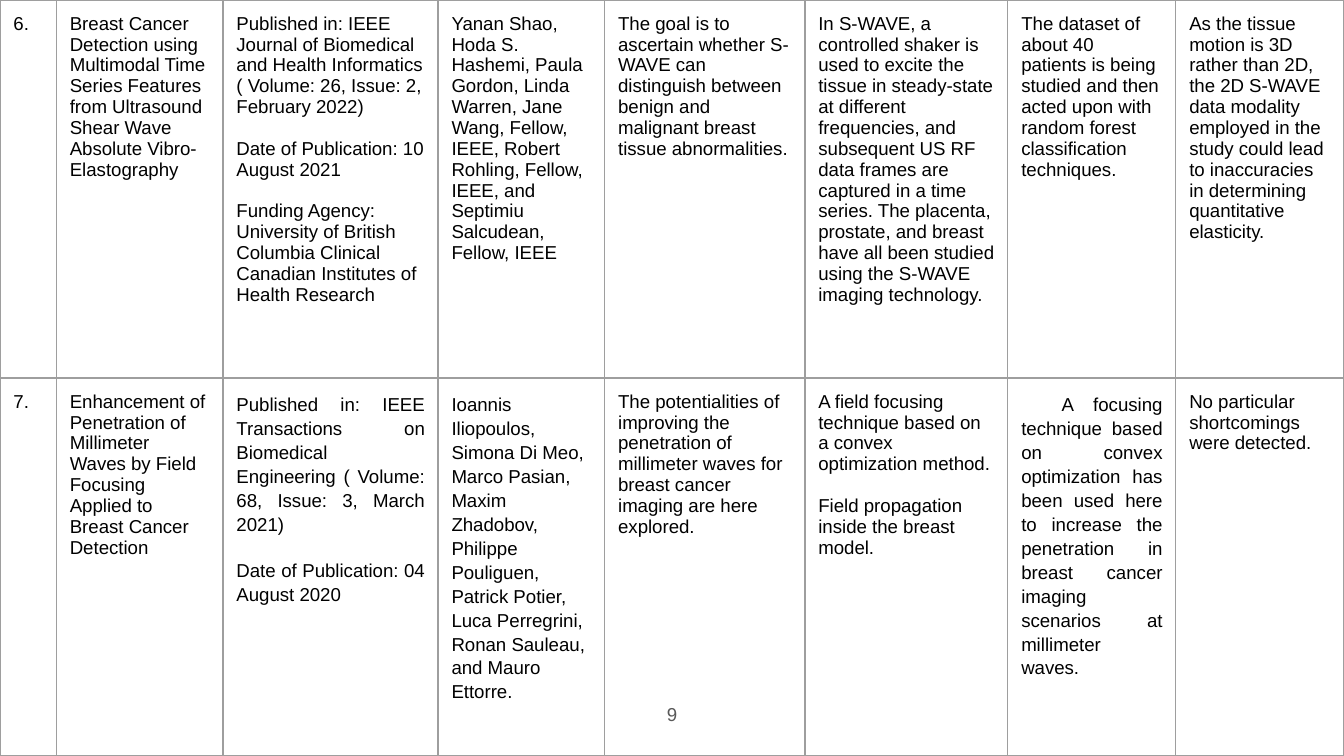
from lxml import etree
from pptx import Presentation
from pptx.dml.color import RGBColor
from pptx.enum.text import MSO_ANCHOR, PP_ALIGN
from pptx.oxml.ns import qn
from pptx.util import Inches, Pt

COLORS = {"text": "000000", "border": "9E9E9E", "page": "595959"}
COLUMN_WIDTHS = [0.42, 1.24, 1.6, 1.24, 1.49, 1.51, 1.25, 1.25]
SLIDE_WIDTH = Inches(10)
SLIDE_HEIGHT = SLIDE_WIDTH * 9 // 16
MARGINS = ["margin_left", "margin_top", "margin_right", "margin_bottom"]

SECTION = {"space_before": Pt(11.2)}
LOOSE = {"line_spacing": 1.15}
JUSTIFIED = {**LOOSE, "alignment": PP_ALIGN.JUSTIFY}

# Each cell is a list of (text, paragraph format) pairs.
papers = [
    [
        [("6.", {})],
        [("Breast Cancer Detection using Multimodal Time Series Features from "
          "Ultrasound Shear Wave Absolute Vibro-Elastography", {})],
        [("Published in: IEEE Journal of Biomedical and Health Informatics "
          "( Volume: 26, Issue: 2, February 2022)", {}),
         ("Date of Publication: 10 August 2021", SECTION),
         ("Funding Agency: University of British Columbia Clinical", SECTION),
         ("Canadian Institutes of Health Research", {})],
        [("Yanan Shao, Hoda S. Hashemi, Paula Gordon, Linda Warren, Jane Wang, "
          "Fellow, IEEE, Robert Rohling, Fellow, IEEE, and Septimiu Salcudean, "
          "Fellow, IEEE", {})],
        [("The goal is to ascertain whether S-WAVE can distinguish between "
          "benign and malignant breast tissue abnormalities.", {})],
        [("In S-WAVE, a controlled shaker is used to excite the tissue in "
          "steady-state at different frequencies, and subsequent US RF data "
          "frames are captured in a time series. The placenta, prostate, and "
          "breast have all been studied using the S-WAVE imaging technology.", {})],
        [("The dataset of about 40 patients is being studied and then acted "
          "upon with random forest classification techniques.", {})],
        [("As the tissue motion is 3D rather than 2D, the 2D S-WAVE data "
          "modality employed in the study could lead to inaccuracies in "
          "determining quantitative elasticity.", {})],
    ],
    [
        [("7.", {})],
        [("Enhancement of Penetration of Millimeter Waves by Field Focusing "
          "Applied to Breast Cancer Detection", {})],
        [("Published in: IEEE Transactions on Biomedical Engineering "
          "( Volume: 68, Issue: 3, March 2021)", JUSTIFIED),
         ("Date of Publication: 04 August 2020",
          {**JUSTIFIED, "space_before": Pt(12)})],
        [("Ioannis Iliopoulos, Simona Di Meo, Marco Pasian, Maxim Zhadobov, "
          "Philippe Pouliguen, Patrick Potier, Luca Perregrini, Ronan Sauleau, "
          "and Mauro Ettorre.", LOOSE)],
        [("The potentialities of improving the penetration of millimeter waves "
          "for breast cancer imaging are here explored.", {})],
        [("A field focusing technique based on a convex optimization method.", {}),
         ("Field propagation inside the breast model.", SECTION)],
        [("A focusing technique based on convex optimization has been used here "
          "to increase the penetration in breast cancer imaging scenarios at "
          "millimeter waves.", {**JUSTIFIED, "first_line": Inches(0.3)})],
        [("No particular shortcomings were detected.", {})],
    ],
]


def write_paragraphs(frame, paragraphs, color):
    for index, (text, layout) in enumerate(paragraphs):
        paragraph = frame.paragraphs[0] if index == 0 else frame.add_paragraph()
        for attribute, value in layout.items():
            if attribute == "first_line":
                paragraph._p.get_or_add_pPr().set("indent", str(value))
            else:
                setattr(paragraph, attribute, value)
        run = paragraph.add_run()
        run.text = text
        run.font.name = "Arial"
        run.font.size = Pt(10)
        run.font.color.rgb = RGBColor.from_string(color)


def add_borders(cell, color):
    properties = cell._tc.get_or_add_tcPr()
    for position, side in enumerate(["a:lnL", "a:lnR", "a:lnT", "a:lnB"]):
        line = etree.Element(qn(side), w=str(Pt(0.75)))
        fill = etree.SubElement(line, qn("a:solidFill"))
        etree.SubElement(fill, qn("a:srgbClr"), val=color)
        properties.insert(position, line)


prs = Presentation()
prs.slide_width = SLIDE_WIDTH
prs.slide_height = SLIDE_HEIGHT
slide = prs.slides.add_slide(prs.slide_layouts[6])

survey = slide.shapes.add_table(
    len(papers), len(COLUMN_WIDTHS), 0, 0, SLIDE_WIDTH, SLIDE_HEIGHT).table
survey.first_row = False
survey.horz_banding = False
for column, width in zip(survey.columns, COLUMN_WIDTHS):
    column.width = Inches(width)

for row, paper in enumerate(papers):
    survey.rows[row].height = SLIDE_HEIGHT // len(papers)
    for column, paragraphs in enumerate(paper):
        cell = survey.cell(row, column)
        for margin in MARGINS:
            setattr(cell, margin, Inches(0.1))
        cell.fill.background()
        add_borders(cell, COLORS["border"])
        write_paragraphs(cell.text_frame, paragraphs, COLORS["text"])

page_number = slide.shapes.add_textbox(
    Inches(4.7), Inches(5.1), Inches(0.6), Inches(0.43)).text_frame
page_number.word_wrap = True
page_number.vertical_anchor = MSO_ANCHOR.MIDDLE
for margin in MARGINS:
    setattr(page_number, margin, Inches(0.1))
write_paragraphs(page_number, [("9", {"alignment": PP_ALIGN.CENTER})], COLORS["page"])

prs.save("out.pptx")
